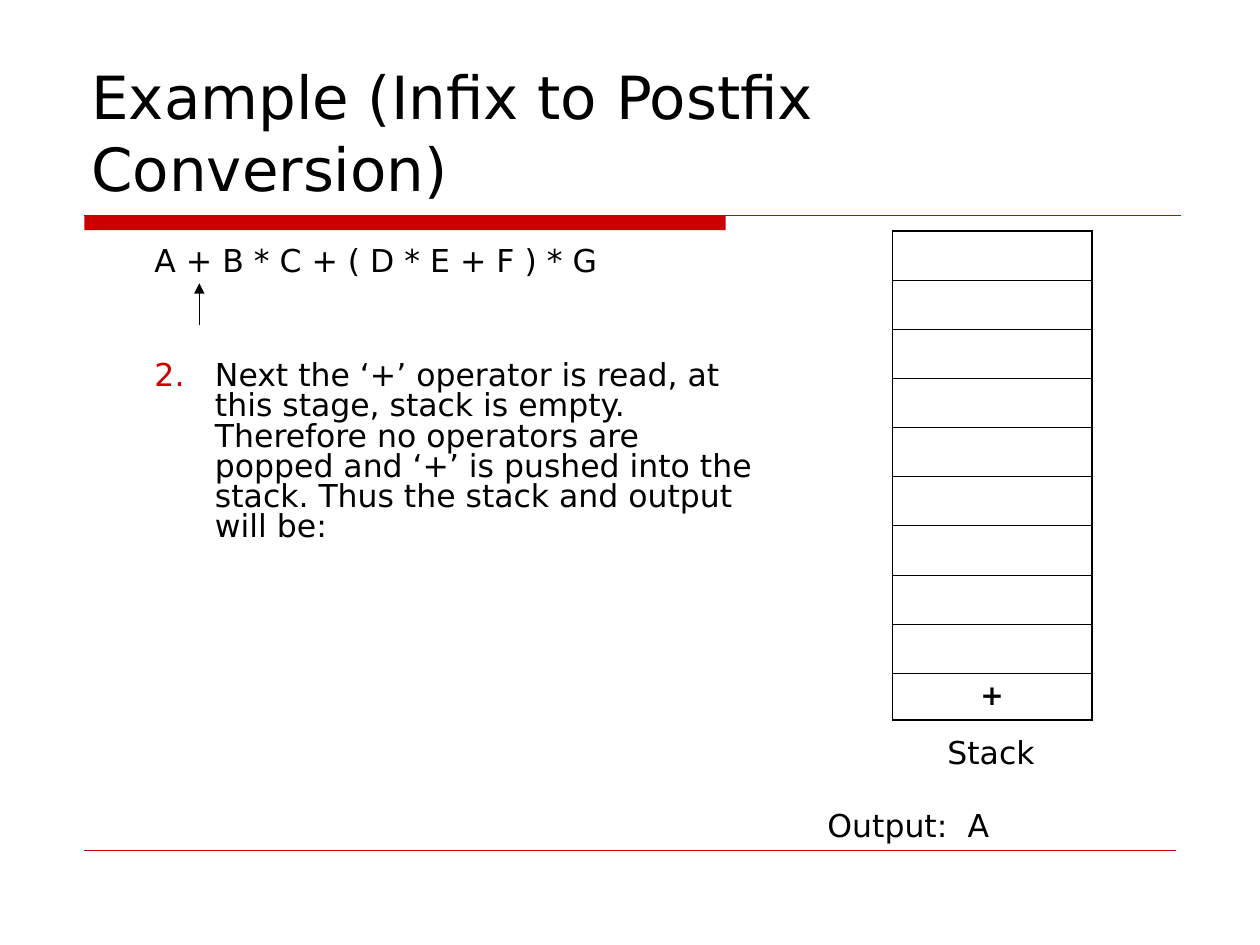
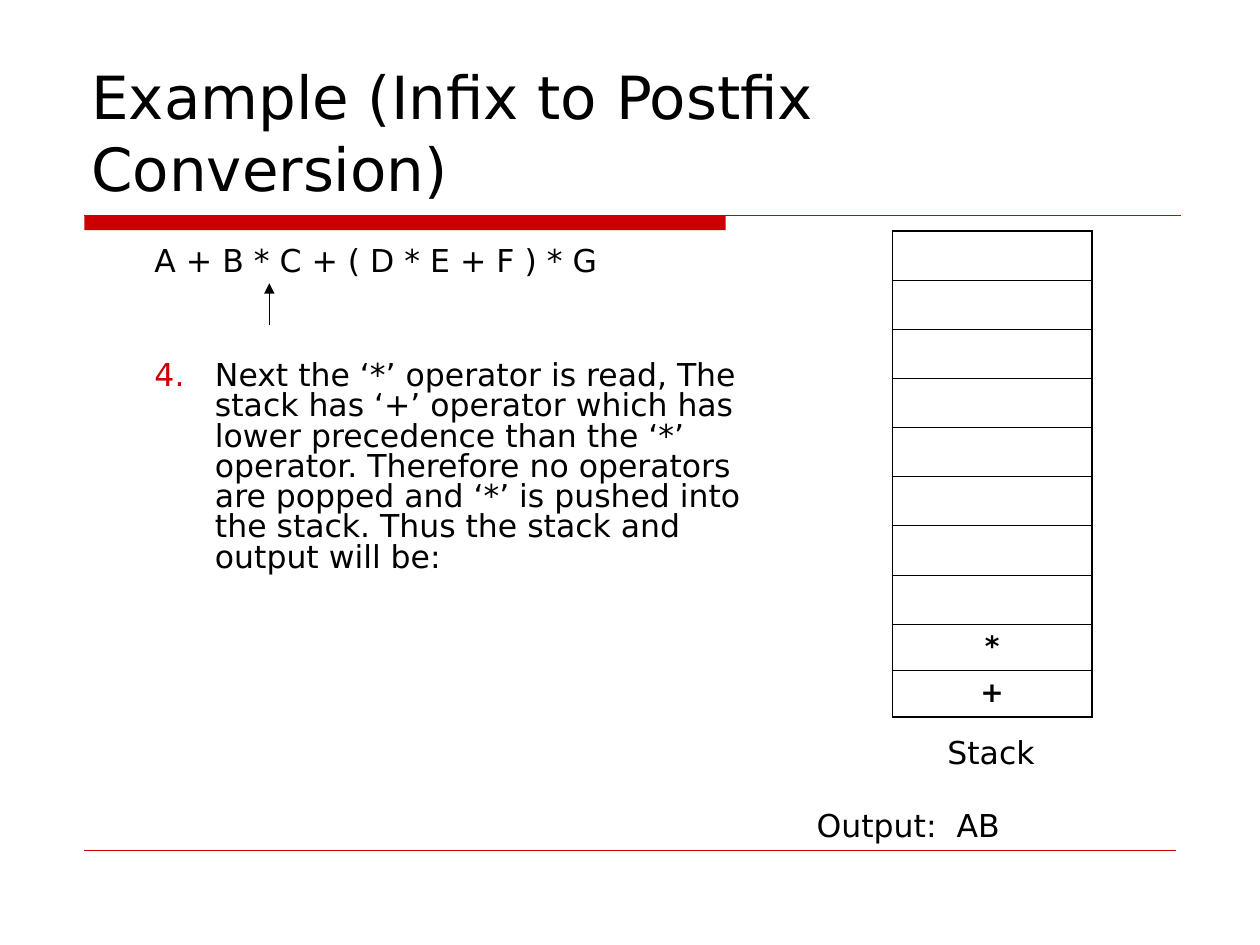
import pptx
import pptx.util
import pptx.dml.color
import pptx.enum.shapes
import pptx.enum.text
import pptx.oxml
import pptx.oxml.ns
from lxml import etree

Cm = pptx.util.Cm
Pt = pptx.util.Pt
qn = pptx.oxml.ns.qn

RED = pptx.dml.color.RGBColor(0xCC, 0x00, 0x00)
BLACK = pptx.dml.color.RGBColor(0x00, 0x00, 0x00)
FONT = "DejaVu Sans"
TITLE = "Example (Infix to Postfix Conversion)"
EXPRESSION = "A + B * C + ( D * E + F ) * G"
STACK_SIZE = 10
EMPTY_ROW, FILLED_ROW = Cm(0.99), Cm(0.94)

# Per slide: step number, explanation, arrow position, stack (bottom first), output
STEPS = [
    (2, "Next the ‘+’ operator is read, at this stage, stack is empty. "
        "Therefore no operators are popped and ‘+’ is pushed into the stack. "
        "Thus the stack and output will be:", 4.02, ["+"], "A"),
    (4, "Next the ‘*’ operator is read, The stack has ‘+’ operator which has "
        "lower precedence than the ‘*’ operator. Therefore no operators are "
        "popped and ‘*’ is pushed into the stack. "
        "Thus the stack and output will be:", 5.43, ["+", "*"], "AB"),
]


def add_run(paragraph, text, size=18, bold=False):
    run = paragraph.add_run()
    run.text = text
    run.font.name = FONT
    run.font.size = Pt(size)
    run.font.bold = bold
    run.font.color.rgb = BLACK
    return run


def add_line(slide, start, end, color, width):
    line = slide.shapes.add_connector(
        pptx.enum.shapes.MSO_CONNECTOR.STRAIGHT,
        Cm(start[0]), Cm(start[1]), Cm(end[0]), Cm(end[1]))
    line.line.color.rgb = color
    line.line.width = Pt(width)
    etree.SubElement(line.element.spPr, qn("a:effectLst"))
    return line


presentation = pptx.Presentation()
presentation.slide_width = Cm(25.4)
presentation.slide_height = Cm(19.05)

# Shared layout: title and body positions, no footer fields
layout = presentation.slide_layouts[1]
for placeholder in list(layout.placeholders)[2:]:
    layout.shapes.element.remove(placeholder.element)
frames = [(1.59, 0.85, 22.23, 3.37), (1.57, 4.87, 13.87, 9.95)]
for placeholder, frame in zip(layout.placeholders, frames):
    placeholder.left, placeholder.top, placeholder.width, placeholder.height = map(Cm, frame)

slides = [presentation.slides.add_slide(layout) for step in STEPS]

# Red band and rules, drawn once and moved to the shared layout
band = slides[0].shapes.add_shape(
    pptx.enum.shapes.MSO_SHAPE.RECTANGLE, Cm(1.7), Cm(4.34), Cm(12.93), Cm(0.3))
band.shadow.inherit = False
band.fill.solid()
band.fill.fore_color.rgb = RED
band.line.fill.background()
top_rule = add_line(slides[0], (1.7, 4.34), (23.8, 4.34), RED, 0.75)
bottom_rule = add_line(slides[0], (1.7, 17.15), (23.7, 17.15), RED, 0.25)
for shape in (band, top_rule, bottom_rule):
    layout.shapes.element.append(shape.element)

for slide, (number, explanation, arrow_x, stack, output) in zip(slides, STEPS):
    # Title
    title_frame = slide.shapes.title.text_frame
    title_frame.vertical_anchor = pptx.enum.text.MSO_ANCHOR.BOTTOM
    title_frame.auto_size = pptx.enum.text.MSO_AUTO_SIZE.NONE
    title_frame.paragraphs[0].alignment = pptx.enum.text.PP_ALIGN.LEFT
    add_run(title_frame.paragraphs[0], TITLE, 34)

    # Expression and numbered explanation
    body_frame = slide.placeholders[1].text_frame
    body_frame.auto_size = pptx.enum.text.MSO_AUTO_SIZE.NONE
    expression_paragraph = body_frame.paragraphs[0]
    step_paragraph = body_frame.add_paragraph()
    for paragraph, text, gap in ((expression_paragraph, EXPRESSION, 0),
                                 (step_paragraph, explanation, 48.2)):
        paragraph.level = 1
        paragraph.line_spacing = 0.8
        paragraph.space_before = Pt(gap)
        properties = paragraph._p.get_or_add_pPr()
        properties.set("marL", str(Cm(2.51)))
        properties.set("indent", str(-Cm(1.22)))
        if paragraph is expression_paragraph:
            etree.SubElement(properties, qn("a:buNone"))
        else:
            bullet_color = etree.SubElement(properties, qn("a:buClr"))
            etree.SubElement(bullet_color, qn("a:srgbClr"), val=str(RED))
            etree.SubElement(properties, qn("a:buFont"), typeface=FONT)
            etree.SubElement(properties, qn("a:buAutoNum"),
                             type="arabicPeriod", startAt=str(number))
        add_run(paragraph, text)

    # Arrow under the symbol being read
    arrow = add_line(slide, (arrow_x, 6.56), (arrow_x, 5.71), BLACK, 0.75)
    etree.SubElement(arrow.line._get_or_add_ln(), qn("a:tailEnd"), type="triangle")

    # Stack table
    symbols = [""] * (STACK_SIZE - len(stack)) + stack[::-1]
    heights = [FILLED_ROW if symbol else EMPTY_ROW for symbol in symbols]
    table = slide.shapes.add_table(
        STACK_SIZE, 1, Cm(17.99), Cm(4.66), Cm(4.02), sum(heights)).table
    table.first_row = False
    table.horz_banding = False
    for row, symbol in enumerate(symbols):
        table.rows[row].height = heights[row]
        cell = table.cell(row, 0)
        cell.margin_top = cell.margin_bottom = Cm(0.13) if symbol else 0
        cell_properties = cell._tc.get_or_add_tcPr()
        widths = {"L": 1.08, "R": 1.08,
                  "T": 1.08 if row == 0 else 0.45,
                  "B": 1.08 if row == STACK_SIZE - 1 else 0.45}
        for side, width in widths.items():
            border = etree.SubElement(cell_properties, qn("a:ln" + side), w=str(Pt(width)))
            border_fill = etree.SubElement(border, qn("a:solidFill"))
            etree.SubElement(border_fill, qn("a:srgbClr"), val=str(BLACK))
        cell.fill.background()
        if symbol:
            paragraph = cell.text_frame.paragraphs[0]
            paragraph.alignment = pptx.enum.text.PP_ALIGN.CENTER
            add_run(paragraph, symbol, 16, True)

    # Stack caption and output
    captions = [((18.85, 14.65, 2.34, 1.01), ["Stack"], pptx.enum.text.PP_ALIGN.LEFT),
                ((12.06, 16.13, 12.5, 1.01), ["Output:", " ", output],
                 pptx.enum.text.PP_ALIGN.CENTER)]
    for frame, texts, alignment in captions:
        text_frame = slide.shapes.add_textbox(*map(Cm, frame)).text_frame
        text_frame.word_wrap = True
        paragraph = text_frame.paragraphs[0]
        paragraph.alignment = alignment
        for text in texts:
            run = add_run(paragraph, text)
            if text == " ":
                run._r.get_or_add_rPr().set("spc", "570")  # widen the gap

presentation.save("out.pptx")
